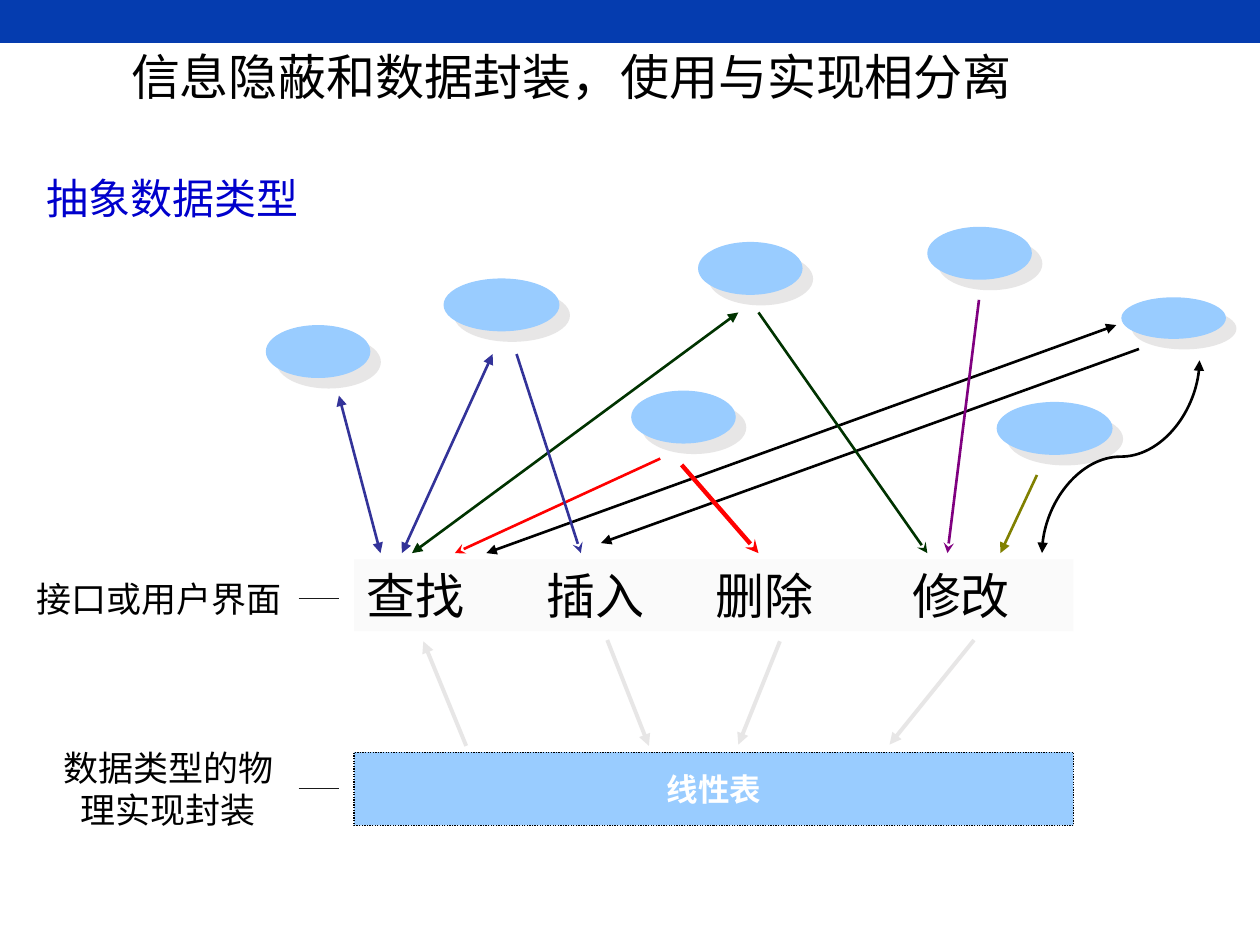
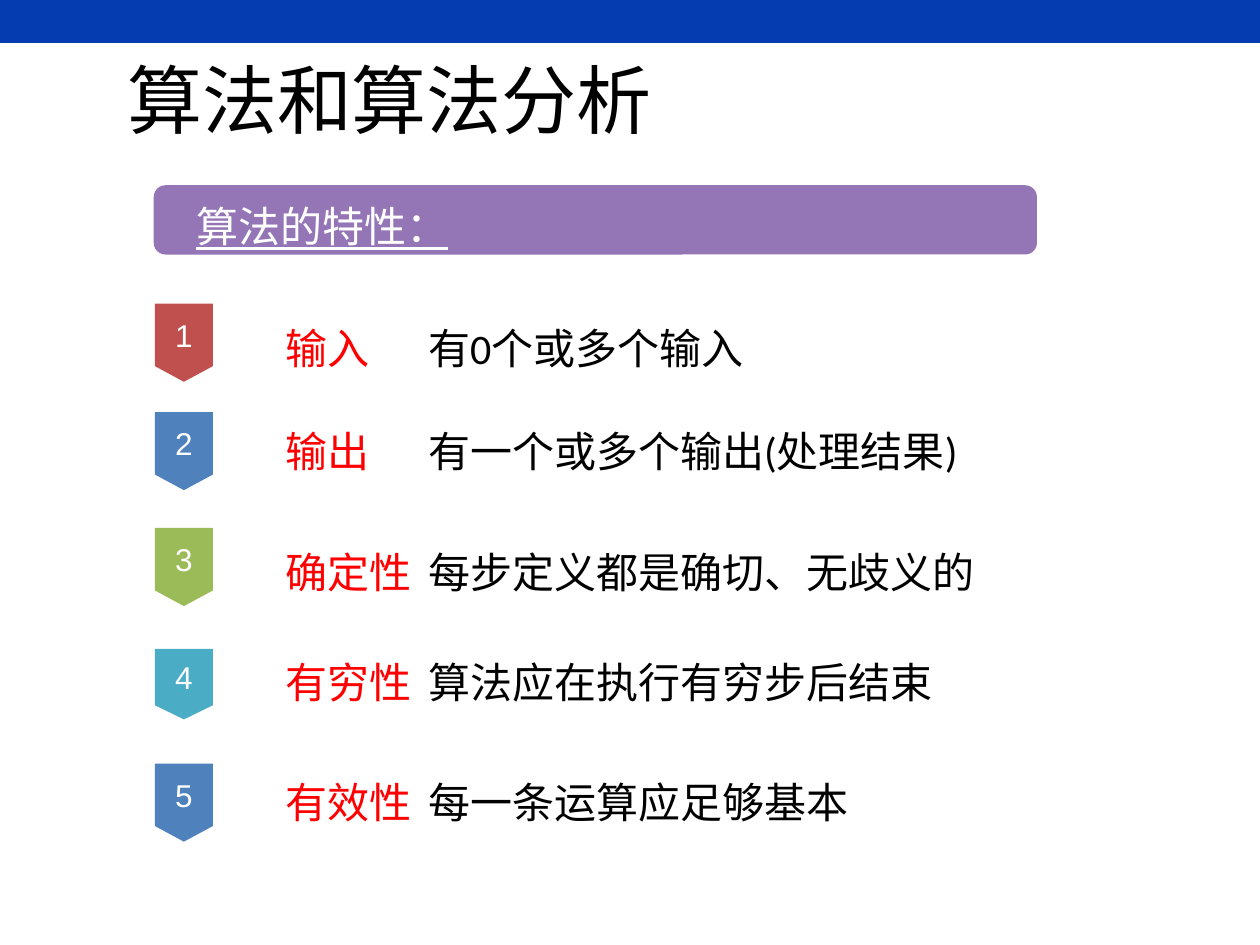
from pptx import Presentation
from pptx import util as u
from pptx.dml.color import RGBColor
from pptx.enum import dml, shapes, text
from pptx.oxml import ns, xmlchemy

BAND = RGBColor(0x05, 0x3C, 0xAF)
BLACK = RGBColor(0, 0, 0)
WHITE = RGBColor(0xFF, 0xFF, 0xFF)
RED = RGBColor(0xFF, 0, 0)
BLUE = RGBColor(0, 0, 0xCC)
SKY = RGBColor(0x99, 0xCC, 0xFF)
PALE = RGBColor(0xFA, 0xFA, 0xFA)
GRAY = RGBColor(0xE7, 0xE6, 0xE6)
INK = RGBColor(0x1A, 0x1A, 0x1A)
NAVY = RGBColor(0x33, 0x33, 0x99)
PINE = RGBColor(0, 0x33, 0)
PLUM = RGBColor(0x80, 0, 0x80)
OLIVE = RGBColor(0x80, 0x80, 0)
LILAC = RGBColor(0x94, 0x76, 0xB6)
BRICK = RGBColor(0xC0, 0x50, 0x4D)
STEEL = RGBColor(0x4F, 0x81, 0xBD)
GREEN = RGBColor(0x9B, 0xBB, 0x59)
TEAL = RGBColor(0x4B, 0xAC, 0xC6)

BODY, HEAD, DIGIT = "Calibri", "Noto Sans CJK SC", "Arial"
FORM = shapes.MSO_SHAPE
LINK = shapes.MSO_CONNECTOR
LEFT, MID = text.PP_ALIGN.LEFT, text.PP_ALIGN.CENTER
TOP, CORE = text.MSO_ANCHOR.TOP, text.MSO_ANCHOR.MIDDLE


def node(root, tag, **attrs):
    item = xmlchemy.OxmlElement(tag)
    for key, value in attrs.items():
        item.set(key, str(value))
    root.append(item)
    return item


class Deck:
    """Holds the shared style and the current slide."""

    def __init__(self):
        self.prs = Presentation()
        self.prs.slide_width, self.prs.slide_height = u.Inches(10), u.Inches(7.5)
        self.slide = None

    def start(self, title, box, size, space=None):
        first = self.slide is None
        self.slide = self.prs.slides.add_slide(self.prs.slide_layouts[5])
        if first:
            self.band()
        head = self.slide.shapes.title
        head.left, head.top, head.width, head.height = map(u.Inches, box)
        self.words(head, [(title, BLACK)], size, HEAD, anchor=CORE, space=space)
        head.text_frame.auto_size = text.MSO_AUTO_SIZE.NONE

    def band(self):
        bar = self.shape(FORM.RECTANGLE, (0, 0, 10, 0.34), BAND)
        bar.element.nvSpPr.cNvPr.set("id", "99")
        self.prs.slide_master.element.cSld.spTree.insert(2, bar.element)

    def words(self, shape, parts, size, face=BODY, align=LEFT, anchor=TOP,
              space=None, tabs=(), wrap=True):
        frame = shape.text_frame
        frame.word_wrap, frame.vertical_anchor = wrap, anchor
        para = frame.paragraphs[0]
        para.alignment = align
        if space:
            para.line_spacing = space
        if tabs:
            stops = node(para._p.get_or_add_pPr(), "a:tabLst")
            for stop in tabs:
                node(stops, "a:tab", pos=u.Inches(stop), algn="l")
        for part, color in parts:
            run = para.add_run()
            run.text = part
            run.font.size, run.font.name = u.Pt(size), face
            run.font.color.rgb = color
        return para

    def label(self, box, parts, size, **style):
        item = self.slide.shapes.add_textbox(*map(u.Inches, box))
        self.words(item, parts, size, **style)
        return item

    def shape(self, form, box, fill):
        item = self.slide.shapes.add_shape(form, *map(u.Inches, box))
        item.shadow.inherit = False
        item.fill.solid()
        item.fill.fore_color.rgb = fill
        item.line.fill.background()
        return item

    def user(self, box):
        oval = self.shape(FORM.OVAL, box, SKY)
        cast = node(oval.element.spPr.find(ns.qn("a:effectLst")), "a:outerShdw",
                    dist=u.Pt(8.5), dir=45 * 60000, algn="ctr", rotWithShape=0)
        node(cast, "a:srgbClr", val=GRAY)

    def line(self, start, end, color, width=1.5, head=None, tail=None,
             kind=LINK.STRAIGHT):
        item = self.slide.shapes.add_connector(kind, *map(u.Inches, start + end))
        item.line.width = u.Pt(width)
        item.line.color.rgb = color
        props = item.element.spPr
        edge = props.find(ns.qn("a:ln"))
        for tag, tip in (("a:headEnd", head), ("a:tailEnd", tail)):
            if tip:
                node(edge, tag, type=tip)
        node(props, "a:effectLst")
        return item


def draw_types(deck):
    deck.start("信息隐蔽和数据封装，使用与实现相分离", (0.94, 0.29, 7.76, 0.62), 28)
    deck.label((0.27, 1.2, 3.56, 0.63), [("抽象数据类型", BLUE)], 24, space=1.3)

    for box in ((2.11, 2.58, 0.83, 0.42), (3.52, 2.21, 0.92, 0.42),
                (5.01, 3.1, 0.83, 0.42), (5.54, 1.92, 0.83, 0.42),
                (7.91, 3.19, 0.92, 0.42), (7.36, 1.8, 0.83, 0.42),
                (8.9, 2.36, 0.83, 0.33)):
        deck.user(box)

    menu = deck.shape(FORM.RECTANGLE, (2.81, 4.44, 5.71, 0.57), PALE)
    deck.words(menu, [("查找\t插入\t删除\t修改", BLACK)], 28,
               tabs=(1.43, 2.77, 4.33))

    curve = deck.line((8.13, 3), (9.66, 4.25), BLACK, head="triangle",
                      tail="triangle", kind=LINK.CURVE)
    curve.element.spPr.xfrm.set("rot", str(90 * 60000))

    both, one, barb = ("triangle", "triangle"), (None, "triangle"), (None, "stealth")
    port = 4.39
    for start, end, color, width, tips in (
            ((2.69, 3.14), (3.02, port), NAVY, 1.5, both),
            ((3.91, 2.81), (3.19, port), NAVY, 1.5, both),
            ((5.86, 2.48), (3.27, port), PINE, 1.5, both),
            ((5.24, 3.64), (3.61, port), RED, 1.5, barb),
            ((8.86, 2.58), (3.86, port), BLACK, 1.5, both),
            ((4.1, 2.81), (4.61, port), NAVY, 1.5, barb),
            ((9.04, 2.77), (4.77, 4.31), BLACK, 1.5, one),
            ((5.41, 3.69), (6.02, port), RED, 2.5, barb),
            ((6.02, 2.48), (7.36, port), PINE, 1.5, barb),
            ((7.77, 2.38), (7.52, port), PLUM, 1.5, barb),
            ((8.23, 3.77), (7.94, port), OLIVE, 1.5, one),
            ((3.7, 5.92), (3.36, 5.09), GRAY, 2.25, one),
            ((4.82, 5.08), (5.15, 5.92), GRAY, 2.25, one),
            ((6.19, 5.09), (5.86, 5.91), GRAY, 2.25, one),
            ((7.73, 5.08), (7.06, 5.91), GRAY, 2.25, one)):
        deck.line(start, end, color, width, *tips)

    store = deck.shape(FORM.RECTANGLE, (2.81, 5.97, 5.71, 0.58), SKY)
    store.line.color.rgb = BLACK
    store.line.width = u.Pt(0.75)
    store.line.dash_style = dml.MSO_LINE.ROUND_DOT
    para = deck.words(store, [("线性表", WHITE)], 18, align=MID, anchor=CORE,
                      wrap=False)
    para.runs[0].font.bold = True

    for name, box in (("接口或用户界面", (0.16, 4.4, 2.21, 0.7)),
                      ("数据类型的物理实现封装", (0.3, 5.74, 2.07, 1.04))):
        note = deck.label(box, [(name, BLACK)], 20, align=MID, anchor=CORE)
        y = box[1] + box[3] / 2
        rule = deck.line((2.37, y), (2.69, y), INK, 0.75)
        rule.begin_connect(note, 3)


def draw_traits(deck):
    deck.start("算法和算法分析", (0.91, 0.45, 8.59, 0.75), 42.9, 0.9)
    bar = deck.shape(FORM.ROUNDED_RECTANGLE, (1.22, 1.47, 7.01, 0.55), LILAC)
    bar.adjustments[0] = 0.17
    topic = deck.label((1.46, 1.42, 7.48, 0.73), [("算法的特性：", WHITE)], 24,
                       space=1.3)
    topic.text_frame.paragraphs[0].runs[0].font.underline = True

    traits = (("输入", "有0个或多个输入", BRICK, 2.41, 0.62, 2.39),
              ("输出", "有一个或多个输出(处理结果)", STEEL, 3.27, 0.62, 3.21),
              ("确定性", "每步定义都是确切、无歧义的", GREEN, 4.19, 0.62, 4.17),
              ("有穷性", "算法应在执行有穷步后结束", TEAL, 5.15, 0.56, 5.04),
              ("有效性", "每一条运算应足够基本", STEEL, 6.06, 0.62, 5.99))
    for num, (term, gist, color, y, high, row) in enumerate(traits, 1):
        tag = deck.shape(FORM.FLOWCHART_OFFPAGE_CONNECTOR, (1.23, y, 0.46, high),
                         color)
        frame = tag.text_frame
        frame.margin_left = frame.margin_right = 0
        frame.margin_top = frame.margin_bottom = 0
        deck.words(tag, [(str(num), WHITE)], 18, DIGIT, MID, CORE)
        deck.label((2.17, row, 7.48, 0.65), [(term, RED), ("\t" + gist, BLACK)],
                   24, space=1.3, tabs=(1.13,))


def main():
    deck = Deck()
    draw_types(deck)
    draw_traits(deck)
    deck.prs.save("out.pptx")


if __name__ == "__main__":
    main()
